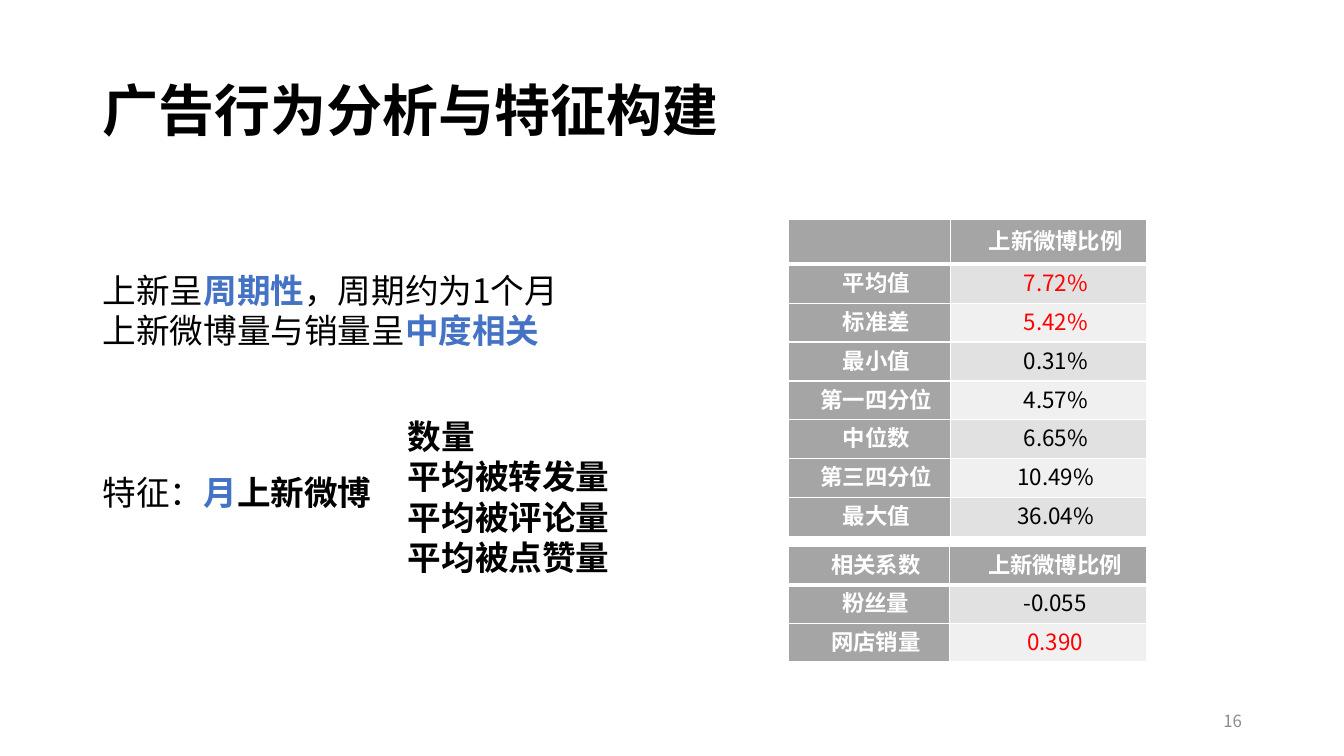
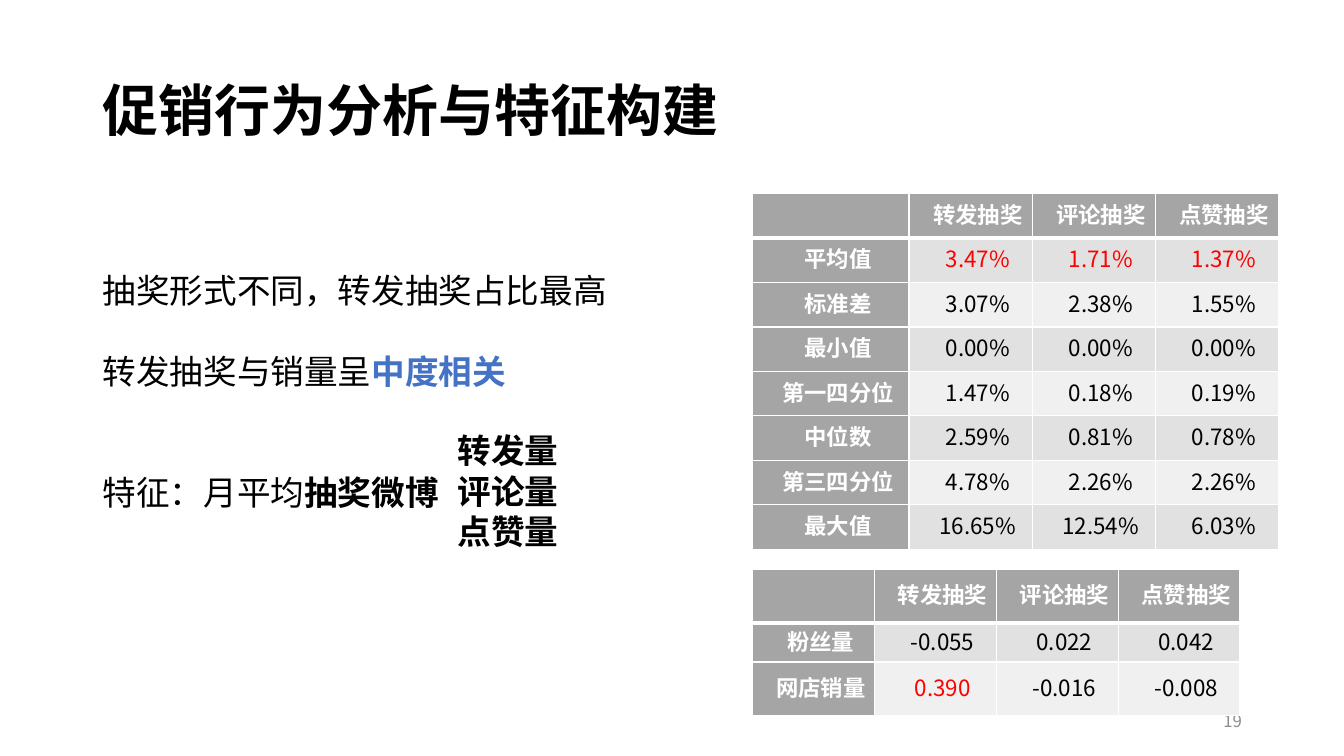
from lxml import etree
from pptx import Presentation
from pptx.dml.color import RGBColor
from pptx.enum.text import MSO_ANCHOR, PP_ALIGN
from pptx.oxml.ns import qn
from pptx.util import Cm, Pt

MIDDLE, TOP = MSO_ANCHOR.MIDDLE, MSO_ANCHOR.TOP
LEFT, CENTER, RIGHT = PP_ALIGN.LEFT, PP_ALIGN.CENTER, PP_ALIGN.RIGHT

BLACK = RGBColor(0x00, 0x00, 0x00)
WHITE = RGBColor(0xFF, 0xFF, 0xFF)
BLUE = RGBColor(0x44, 0x72, 0xC4)
RED = RGBColor(0xFF, 0x00, 0x00)
PALE_GRAY = RGBColor(0x8C, 0x8C, 0x8C)
HEADER_FILL = RGBColor(0xA5, 0xA5, 0xA5)
BAND_FILLS = (RGBColor(0xF0, 0xF0, 0xF0), RGBColor(0xE1, 0xE1, 0xE1))

FONT = "Noto Sans CJK SC"
LINE = 28.8
PLAIN = {"size": Pt(24), "bold": False, "color": BLACK}
STRONG = {**PLAIN, "bold": True}
ACCENT = {**STRONG, "color": BLUE}
TITLE = {**STRONG, "size": Pt(40)}
NUMBER = {**PLAIN, "size": Pt(12), "color": PALE_GRAY}
HEADING = {"size": Pt(16), "bold": True, "color": WHITE}
VALUE = {"size": Pt(16), "bold": False, "color": BLACK}
MARKED = {**VALUE, "color": RED}

TITLE_BOX = (2.34, 1.02, 29.21, 3.68)
NUMBER_BOX = (23.93, 17.65, 7.62, 1.02)
STATISTICS = ["平均值", "标准差", "最小值", "第一四分位", "中位数", "第三四分位", "最大值"]
LOTTERIES = ["转发抽奖", "评论抽奖", "点赞抽奖"]


def set_values(target, values):
    for name, value in values.items():
        setattr(target, name, value)


def add_span(para, text, style):
    span = para.add_run()
    span.text = text
    font = span.font
    set_values(font, {"name": FONT, "size": style["size"], "bold": style["bold"]})
    font.color.rgb = style["color"]
    east_asian = etree.SubElement(span._r.get_or_add_rPr(), qn("a:ea"))
    east_asian.set("typeface", FONT)


def add_text(page, box, paragraphs, anchor=TOP, **para_format):
    frame = page.shapes.add_textbox(*map(Cm, box)).text_frame
    set_values(frame, {"word_wrap": True, "vertical_anchor": anchor})
    for index, (gap, spans) in enumerate(paragraphs):
        para = frame.paragraphs[0] if index == 0 else frame.add_paragraph()
        set_values(para, {"space_before": Pt(gap), **para_format})
        for text, style in spans:
            add_span(para, text, style)


def add_body(page, box, paragraphs):
    add_text(page, box, paragraphs, alignment=LEFT, line_spacing=Pt(LINE))


def add_list(page, box, items):
    add_body(page, box, [(0, [(item, STRONG)]) for item in items])


def set_borders(cell, widths):
    properties = cell._tc.get_or_add_tcPr()
    for position, (side, width) in enumerate(widths.items()):
        border = etree.Element(qn(f"a:{side}"), w=str(Pt(width)))
        fill = etree.SubElement(border, qn("a:solidFill"))
        etree.SubElement(fill, qn("a:srgbClr"), val=str(WHITE))
        properties.insert(position, border)


def fill_cell(cell, text, style, color, margin):
    set_values(cell, {
        "margin_left": Cm(margin), "margin_right": Cm(margin),
        "margin_top": 0, "margin_bottom": 0, "vertical_anchor": MIDDLE,
    })
    cell.fill.solid()
    cell.fill.fore_color.rgb = color
    para = cell.text_frame.paragraphs[0]
    set_values(para, {"alignment": CENTER, "line_spacing": Pt(20)})
    para._p.get_or_add_pPr().set("indent", str(Cm(0.36)))
    if text:
        add_span(para, text, style)


def add_data_table(page, corner, widths, heights, data, marked, margin=0.18):
    size = (sum(widths), sum(heights))
    table = page.shapes.add_table(
        len(heights), len(widths), *map(Cm, corner + size)).table
    set_values(table, {"first_row": False, "horz_banding": False})
    for column, width in zip(table.columns, widths):
        column.width = Cm(width)
    for row, height in zip(table.rows, heights):
        row.height = Cm(height)
    for row, texts in enumerate(data):
        for column, text in enumerate(texts):
            heading = row == 0 or column == 0
            color = HEADER_FILL if heading else BAND_FILLS[row % 2]
            style = HEADING if heading else MARKED if (row, column) in marked else VALUE
            cell = table.cell(row, column)
            fill_cell(cell, text, style, color, margin)
            set_borders(cell, {
                "lnL": 1, "lnR": 1,
                "lnT": 3 if row == 1 else 1, "lnB": 3 if row == 0 else 1,
            })


def add_page(deck, title, number):
    page = deck.slides.add_slide(deck.slide_layouts[6])
    add_text(page, TITLE_BOX, [(0, [(title, TITLE)])], MIDDLE, line_spacing=0.9)
    add_text(page, NUMBER_BOX, [(0, [(number, NUMBER)])], MIDDLE, alignment=RIGHT)
    return page


def build_advertising(deck):
    page = add_page(deck, "广告行为分析与特征构建", "16")
    add_body(page, (2.34, 6.68, 22.68, 7.95), [
        (0, [("上新呈", PLAIN), ("周期性", ACCENT), ("，周期约为1个月", PLAIN)]),
        (0, [("上新微博量与销量呈", PLAIN), ("中度相关", ACCENT)]),
        (3 * LINE, [("特征：", PLAIN), ("月", ACCENT), ("上新微博", STRONG)]),
    ])
    add_list(page, (10.03, 10.36, 7.26, 4.47),
             ["数量", "平均被转发量", "平均被评论量", "平均被点赞量"])
    ratios = ["7.72%", "5.42%", "0.31%", "4.57%", "6.65%", "10.49%", "36.04%"]
    add_data_table(page, (19.86, 5.54), [4.09, 4.95], [1.12] + [0.98] * 7,
                   [("", "上新微博比例"), *zip(STATISTICS, ratios)],
                   {(1, 1), (2, 1)}, margin=0.3)
    add_data_table(page, (19.86, 13.77), [4.06, 4.98], [0.97] * 3, [
        ("相关系数", "上新微博比例"),
        ("粉丝量", "-0.055"),
        ("网店销量", "0.390"),
    ], {(2, 1)})


def build_promotion(deck):
    page = add_page(deck, "促销行为分析与特征构建", "19")
    add_body(page, (2.34, 6.68, 22.68, 7.19), [
        (0, [("抽奖形式不同，转发抽奖占比最高", PLAIN)]),
        (LINE, [("转发抽奖与销量呈", PLAIN), ("中度相关", ACCENT)]),
        (2 * LINE, [("特征：月平均", PLAIN), ("抽奖微博", STRONG)]),
    ])
    add_list(page, (11.28, 10.72, 3.63, 3.38), ["转发量", "评论量", "点赞量"])
    forwards = ["3.47%", "3.07%", "0.00%", "1.47%", "2.59%", "4.78%", "16.65%"]
    comments = ["1.71%", "2.38%", "0.00%", "0.18%", "0.81%", "2.26%", "12.54%"]
    likes = ["1.37%", "1.55%", "0.00%", "0.19%", "0.78%", "2.26%", "6.03%"]
    add_data_table(page, (18.97, 4.88), [3.94] + [3.1] * 3, [1.12] * 8,
                   [("", *LOTTERIES), *zip(STATISTICS, forwards, comments, likes)],
                   {(1, 1), (1, 2), (1, 3)})
    add_data_table(page, (18.97, 14.35), [3.07] * 4, [1.35, 0.98, 1.35], [
        ("", *LOTTERIES),
        ("粉丝量", "-0.055", "0.022", "0.042"),
        ("网店销量", "0.390", "-0.016", "-0.008"),
    ], {(2, 1)})


def main():
    deck = Presentation()
    set_values(deck, {"slide_width": Cm(33.87), "slide_height": Cm(19.05)})
    build_advertising(deck)
    build_promotion(deck)
    deck.save("out.pptx")


if __name__ == "__main__":
    main()
